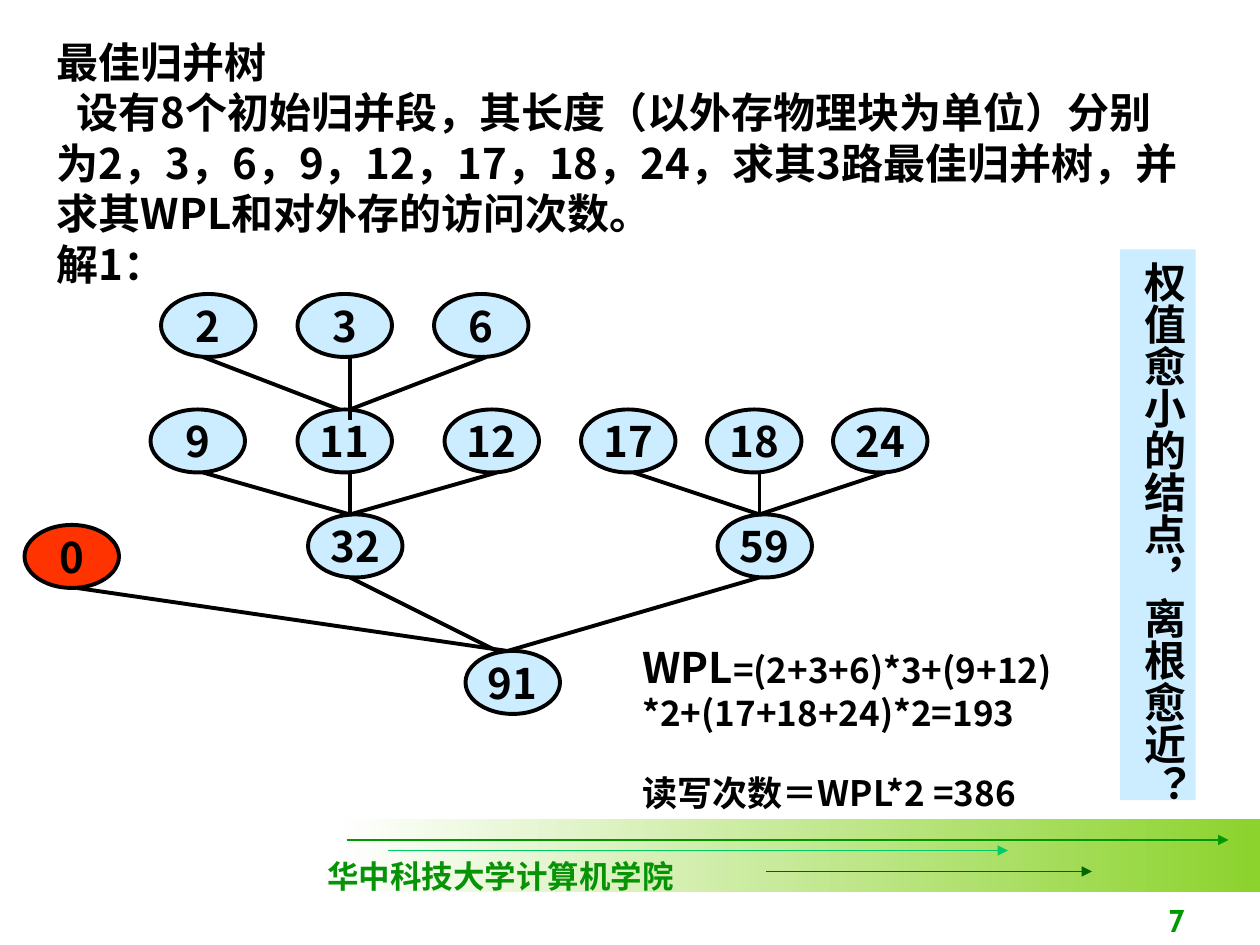
from dataclasses import dataclass
from typing import NamedTuple

from lxml import etree
from pptx import Presentation
from pptx.dml.color import RGBColor
from pptx.enum.shapes import MSO_CONNECTOR, MSO_SHAPE
from pptx.enum.text import MSO_ANCHOR, MSO_AUTO_SIZE, PP_ALIGN
from pptx.oxml.ns import qn
from pptx.util import Inches, Pt

OVAL, RECTANGLE = MSO_SHAPE.OVAL, MSO_SHAPE.RECTANGLE
STRAIGHT = MSO_CONNECTOR.STRAIGHT
TOP, MIDDLE, BOTTOM = MSO_ANCHOR.TOP, MSO_ANCHOR.MIDDLE, MSO_ANCHOR.BOTTOM
LEFT, CENTER, RIGHT = PP_ALIGN.LEFT, PP_ALIGN.CENTER, PP_ALIGN.RIGHT
TITLE_ONLY = 5
GRID = Inches(1) // 12
TREE_OFFSET = 1 / 3  # the tree stands a third of a column right of the grid


@dataclass(frozen=True)
class Theme:
    font: str = "Noto Sans CJK SC"
    footer_font: str = "Times New Roman"
    number_font: str = "Cabin"
    black: str = "000000"
    white: str = "FFFFFF"
    pale_blue: str = "CCECFF"
    red: str = "FF3300"
    lime: str = "8CD32D"
    footer_green: str = "069406"
    green: str = "009900"
    mint: str = "00CC66"
    dark_green: str = "006600"
    large: float = 24
    medium: float = 20
    small: float = 18
    tree_line: float = 2.25
    arrow_line: float = 0.75


THEME = Theme()


class Box(NamedTuple):
    """Place and size in inches."""
    left: float
    top: float
    width: float
    height: float


class Node(NamedTuple):
    """Tree node; column and row are its top left corner on the grid."""
    label: str
    column: float
    row: float
    color: str = THEME.pale_blue


class Line(NamedTuple):
    """Line between two grid points, each a column and a row."""
    start: tuple
    end: tuple
    color: str = THEME.black
    arrow: bool = False


def row_of_nodes(labels: list, column: int, step: int, row: int) -> list:
    return [Node(label, column + step * i, row) for i, label in enumerate(labels)]


NODES = [
    *row_of_nodes(["2", "3", "6"], 15, 13, 28),
    *row_of_nodes(["9", "11", "12"], 14, 14, 39),
    *row_of_nodes(["17", "18", "24"], 55, 12, 39),
    Node("32", 29, 49),
    Node("59", 68, 49),
    Node("91", 44, 62),
    Node("0", 2, 50, THEME.red),
]
EDGES = [
    Line((19, 34), (32, 39)),
    Line((33, 34), (33, 40)),
    Line((46, 34), (33, 39)),
    *[Line((column, 45), (33, 49)) for column in (19, 33, 47)],
    *[Line((column, 45), (72, 49)) for column in (60, 72, 84)],
    Line((33, 55), (47, 62)),
    Line((7, 56), (48, 62)),
    Line((72, 55), (48, 62)),
]
FOOTER_ARROWS = [
    Line((33, 80), (117, 80), THEME.green, True),
    Line((37, 81), (96, 81), THEME.mint, True),
    Line((73, 83), (104, 83), THEME.dark_green, True),
]


def grid(units: float) -> int:
    return round(units * GRID)


def format_run(run, size: float, color: str = THEME.black, font: str = THEME.font) -> None:
    run.font.size, run.font.bold, run.font.name = Pt(size), True, font
    run.font.color.rgb = RGBColor.from_string(color)
    east_asian = etree.SubElement(run.font._element, qn("a:ea"))
    east_asian.set("typeface", THEME.font)


def format_frame(frame, anchor=TOP, align=LEFT, wrap: bool = True) -> None:
    frame.auto_size, frame.word_wrap = MSO_AUTO_SIZE.NONE, wrap
    frame.vertical_anchor = anchor
    for paragraph in frame.paragraphs:
        paragraph.alignment = align


def add_text(slide, box: Box, text: str, size: float, color: str = THEME.black,
             font: str = THEME.font, **layout):
    frame = slide.shapes.add_textbox(*map(Inches, box)).text_frame
    frame.text = text
    format_frame(frame, **layout)
    format_run(frame.paragraphs[0].runs[0], size, color, font)
    return frame.paragraphs[0]


def add_node(slide, node: Node) -> None:
    shape = slide.shapes.add_shape(OVAL, grid(node.column + TREE_OFFSET), grid(node.row),
                                   grid(9), grid(6))
    shape.shadow.inherit = False
    shape.fill.solid()
    shape.fill.fore_color.rgb = RGBColor.from_string(node.color)
    shape.line.color.rgb = RGBColor.from_string(THEME.black)
    shape.line.width = Pt(THEME.tree_line)
    shape.text_frame.text = node.label
    format_frame(shape.text_frame, MIDDLE, CENTER, wrap=False)
    format_run(shape.text_frame.paragraphs[0].runs[0], THEME.large)


def add_line(slide, line: Line, offset: float = 0) -> None:
    (x1, y1), (x2, y2) = line.start, line.end
    connector = slide.shapes.add_connector(STRAIGHT, grid(x1 + offset), grid(y1),
                                           grid(x2 + offset), grid(y2))
    connector.line.color.rgb = RGBColor.from_string(line.color)
    connector.line.width = Pt(THEME.arrow_line if line.arrow else THEME.tree_line)
    if line.arrow:
        etree.SubElement(connector.line._get_or_add_ln(), qn("a:tailEnd"), type="triangle")
    etree.SubElement(connector._element.spPr, qn("a:effectLst"))


def add_footer(slide) -> None:
    band = slide.shapes.add_shape(RECTANGLE, grid(32), grid(78), grid(88), grid(7))
    band.shadow.inherit = False
    band.line.fill.background()
    band.fill.gradient()
    band.fill.gradient_angle = 0
    for stop, color in zip(band.fill.gradient_stops, (THEME.white, THEME.lime)):
        stop.color.rgb = RGBColor.from_string(color)
    for arrow in FOOTER_ARROWS:
        add_line(slide, arrow)
    add_text(slide, Box(2.5, 6.75, 2.95, 0.4), "华中科技大学计算机学院", THEME.small,
             THEME.footer_green, THEME.footer_font, wrap=False)
    add_text(slide, Box(7.42, 7, 2.08, 0.5), "7", THEME.small, THEME.green,
             THEME.number_font, anchor=BOTTOM, align=RIGHT)


def add_question(slide) -> None:
    title = slide.shapes.title
    title.left, title.top, title.width, title.height = map(Inches, (0.35, 0.24, 9.14, 2.1))
    frame = title.text_frame
    frame.text = ("最佳归并树\n"
                  "设有8个初始归并段，其长度（以外存物理块为单位）分别为2，3，6，9，12，17，18，24，"
                  "求其3路最佳归并树，并求其WPL和对外存的访问次数。\n"
                  "解1：")
    format_frame(frame)
    for paragraph in frame.paragraphs:
        format_run(paragraph.runs[0], THEME.large)
    frame.paragraphs[1]._p.get_or_add_pPr().set("indent", str(Inches(0.16)))


def add_side_note(slide) -> None:
    note = slide.shapes.add_shape(RECTANGLE, *map(Inches, (8.89, 1.98, 0.6, 4.37)))
    note.shadow.inherit = False
    note.fill.solid()
    note.fill.fore_color.rgb = RGBColor.from_string(THEME.pale_blue)
    note.line.fill.background()
    frame = note.text_frame
    frame.text = "权值愈小的结点，离根愈近？"
    format_frame(frame)
    frame.margin_left = frame.margin_right = Inches(0.05)
    frame.margin_top = frame.margin_bottom = Inches(0.1)
    frame._txBody.bodyPr.set("vert", "eaVert")
    format_run(frame.paragraphs[0].runs[0], THEME.large)


def main() -> None:
    presentation = Presentation()
    presentation.slide_width, presentation.slide_height = Inches(10), Inches(7.5)
    slide = presentation.slides.add_slide(presentation.slide_layouts[TITLE_ONLY])
    add_footer(slide)
    for node in NODES:
        add_node(slide, node)
    for edge in EDGES:
        add_line(slide, edge, TREE_OFFSET)
    formula = add_text(slide, Box(5, 5.04, 3.94, 0.84), "WPL", THEME.large)
    rest = formula.add_run()
    rest.text = "=(2+3+6)*3+(9+12) *2+(17+18+24)*2=193"
    format_run(rest, THEME.medium)
    add_text(slide, Box(5, 6.07, 4.33, 0.44), "读写次数＝WPL*2 =386", THEME.medium)
    add_side_note(slide)
    add_question(slide)
    presentation.save("out.pptx")


if __name__ == "__main__":
    main()
